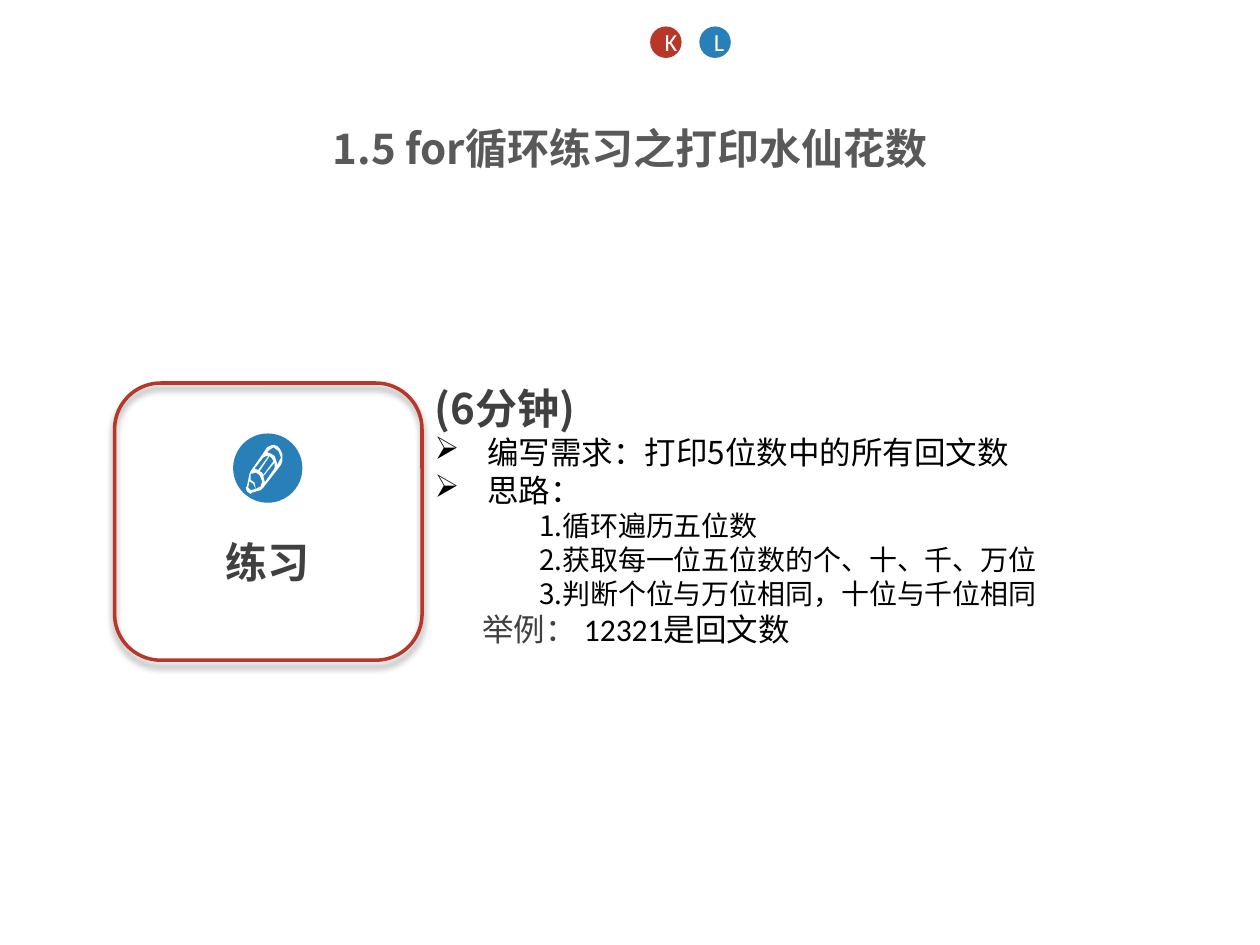
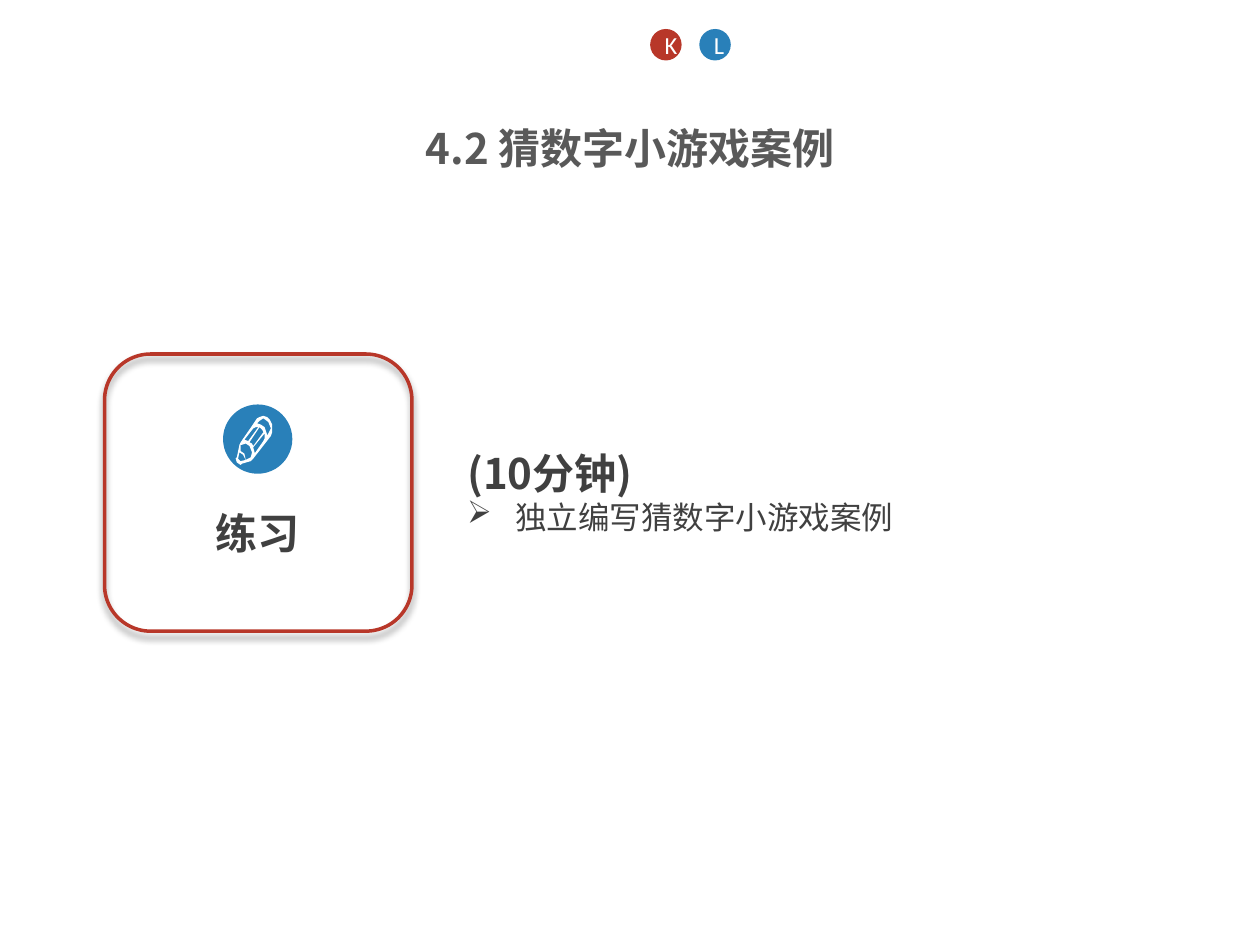
from lxml.etree import SubElement
from pptx import Presentation
from pptx.dml.color import RGBColor
from pptx.enum.shapes import MSO_SHAPE
from pptx.enum.text import MSO_ANCHOR, PP_ALIGN
from pptx.oxml.ns import qn
from pptx.util import Inches, Pt

RED = RGBColor(0xB8, 0x37, 0x29)
BLUE = RGBColor(0x29, 0x80, 0xB9)
WHITE = RGBColor(0xFF, 0xFF, 0xFF)
BLACK = RGBColor(0, 0, 0)
TITLE_GREY = RGBColor(0x59, 0x59, 0x59)
DARK_GREY = RGBColor(0x40, 0x40, 0x40)
CJK_FONT = "Noto Sans CJK SC"
LATIN_FONT = "Calibri"

PENCIL_CONTOURS = [
    [(27, 3), (25, 1), (22, 0), (19, 1), (17, 2), (13, 8), (4, 21), (3, 23),
     (1, 33), (0, 34), (1, 37), (4, 39), (5, 38), (12, 36), (14, 34), (28, 16),
     (29, 13), (29, 7)],
    [(26, 14), (25, 16), (25, 15), (23, 9), (20, 7), (17, 6), (19, 4), (22, 2),
     (26, 5), (28, 10)],
    [(8, 35), (7, 30), (4, 28), (4, 23), (5, 23), (8, 22), (11, 24), (13, 29),
     (12, 33)],
    [(4, 36), (2, 34), (3, 29), (6, 31), (8, 35)],
    [(10, 20), (7, 19), (14, 10), (16, 9), (18, 9)],
    [(14, 24), (13, 22), (11, 21), (19, 9), (21, 11), (22, 13)],
    [(15, 29), (14, 25), (23, 14), (23, 18), (22, 20), (15, 30)],
]


def write(frame, text, size=18, color=BLACK, bold=False, font=CJK_FONT, align=None,
          indent=0, bullet=None, line_spacing=None, same_line=False):
    if same_line or not frame.text:
        paragraph = frame.paragraphs[-1]
    else:
        paragraph = frame.add_paragraph()
    if not same_line:
        paragraph.alignment = align
        paragraph.line_spacing = line_spacing
        properties = paragraph._p.get_or_add_pPr()
        properties.set("marL", str(Inches(indent)))
        properties.set("indent", str(-Inches(indent) if bullet else 0))
        if bullet:
            SubElement(properties, qn("a:buChar"), char=bullet)
    run = paragraph.add_run()
    run.text = text
    run.font.name = font
    run.font.size = Pt(size)
    run.font.bold = bold
    run.font.color.rgb = color
    SubElement(run._r.get_or_add_rPr(), qn("a:ea"), typeface=CJK_FONT)


def add_text_frame(slide, left, top, width, height):
    box = slide.shapes.add_textbox(Inches(left), Inches(top), Inches(width), Inches(height))
    box.text_frame.word_wrap = True
    return box.text_frame


def add_disc(slide, left, top, diameter, color):
    disc = slide.shapes.add_shape(MSO_SHAPE.OVAL, Inches(left), Inches(top),
                                  Inches(diameter), Inches(diameter))
    disc.shadow.inherit = False
    disc.fill.solid()
    disc.fill.fore_color.rgb = color
    disc.line.fill.background()
    return disc


def add_header(slide, title, badge_top):
    for column, (letter, color) in enumerate([("K", RED), ("L", BLUE)]):
        badge = add_disc(slide, 5.16 + 0.39 * column, badge_top, 0.25, color)
        badge.text_frame.vertical_anchor = MSO_ANCHOR.MIDDLE
        write(badge.text_frame, letter, size=14, color=WHITE, font=LATIN_FONT,
              align=PP_ALIGN.CENTER)
    write(add_text_frame(slide, 0, 0.92, 10, 0.47), title, size=24, color=TITLE_GREY,
          bold=True, align=PP_ALIGN.CENTER)


def add_pencil(slide, left, top):
    builder = None
    for contour in PENCIL_CONTOURS:
        if builder is None:
            builder = slide.shapes.build_freeform(*contour[0], scale=Inches(0.01))
        else:
            builder.move_to(*contour[0])
        builder.add_line_segments(contour[1:], close=True)
    pencil = builder.convert_to_shape(Inches(left), Inches(top))
    pencil.shadow.inherit = False
    pencil.fill.solid()
    pencil.fill.fore_color.rgb = WHITE
    pencil.line.fill.background()


def add_drop_shadow(shape):
    shape.shadow.inherit = False
    effects = shape._element.spPr.find(qn("a:effectLst"))
    shadow = SubElement(effects, qn("a:outerShdw"), blurRad=str(Pt(4)), dist=str(Pt(3)),
                        dir="5400000", rotWithShape="0")
    black = SubElement(shadow, qn("a:srgbClr"), val="000000")
    SubElement(black, qn("a:alpha"), val="40000")


def add_practice_card(slide, left, top):
    label = add_text_frame(slide, left + 0.78, top + 1.21, 0.87, 0.45)
    label.margin_right = 0
    write(label, "练习", size=24, color=DARK_GREY, bold=True, line_spacing=0.9)
    add_disc(slide, left + 0.94, top + 0.4, 0.55, BLUE)
    add_pencil(slide, left + 1.04, top + 0.49)
    card = slide.shapes.add_shape(MSO_SHAPE.ROUNDED_RECTANGLE, Inches(left), Inches(top),
                                  Inches(2.44), Inches(2.2))
    card.fill.background()
    card.line.color.rgb = RED
    card.line.width = Pt(2)
    add_drop_shadow(card)


def add_task(slide, left, top, width, height, duration):
    task = add_text_frame(slide, left, top, width, height)
    write(task, duration, size=24, color=DARK_GREY, bold=True)
    return task


def build_palindrome_slide(slide):
    add_header(slide, "1.5 for循环练习之打印水仙花数", 0.21)
    task = add_task(slide, 3.35, 2.99, 6.38, 2.32, "(6分钟)")
    for point in ["编写需求：打印5位数中的所有回文数", "思路："]:
        write(task, point, indent=0.42, bullet="➢")
    for step in ["1.循环遍历五位数", "2.获取每一位五位数的个、十、千、万位",
                 "3.判断个位与万位相同，十位与千位相同"]:
        write(task, step, size=16, indent=0.83)
    write(task, "举例：", color=DARK_GREY, indent=0.38)
    write(task, " 12321是回文数", font=LATIN_FONT, same_line=True)
    add_practice_card(slide, 0.91, 3.04)


def build_guessing_slide(slide):
    add_header(slide, "4.2 猜数字小游戏案例", 0.23)
    task = add_task(slide, 3.61, 3.5, 6.37, 0.81, "(10分钟)")
    write(task, "独立编写猜数字小游戏案例", color=DARK_GREY, indent=0.38, bullet="➢")
    add_practice_card(slide, 0.83, 2.81)


def main():
    presentation = Presentation()
    presentation.slide_width = Inches(10)
    presentation.slide_height = Inches(7.5)
    for build in (build_palindrome_slide, build_guessing_slide):
        build(presentation.slides.add_slide(presentation.slide_layouts[6]))
    presentation.save("out.pptx")


if __name__ == "__main__":
    main()
